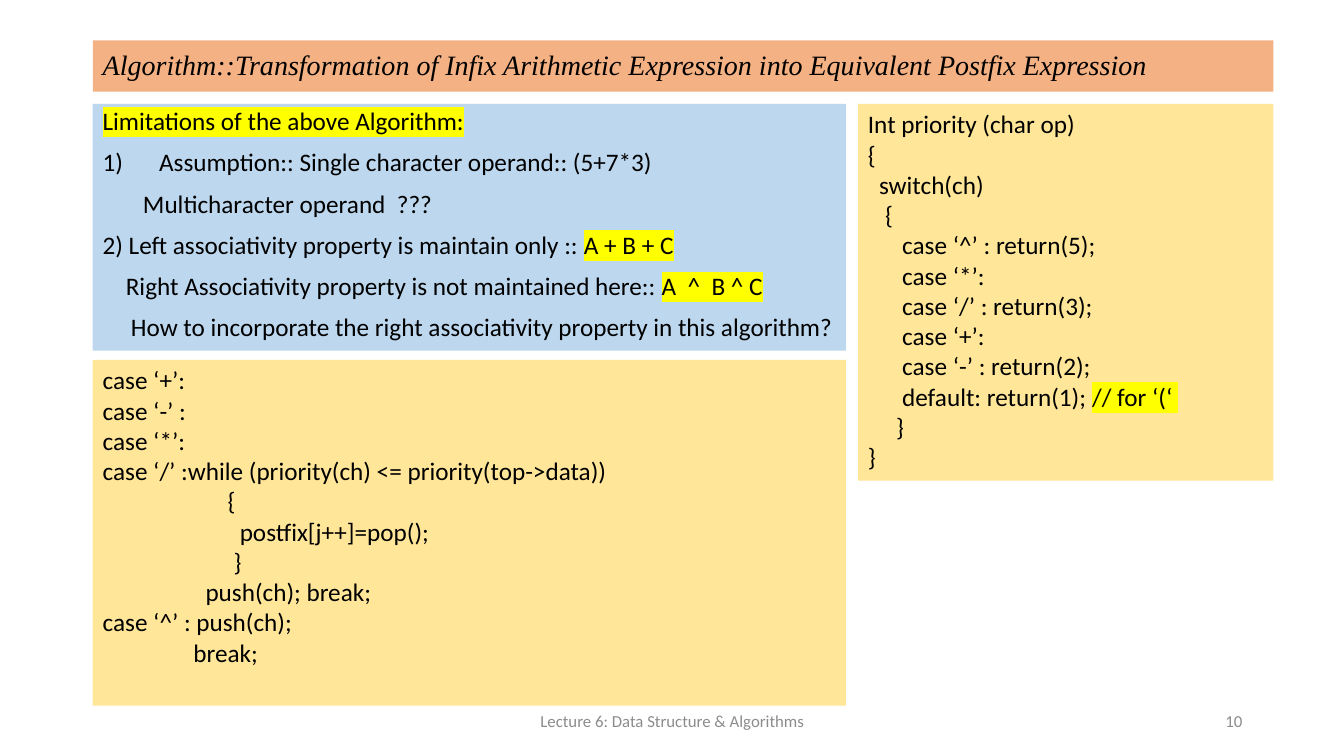
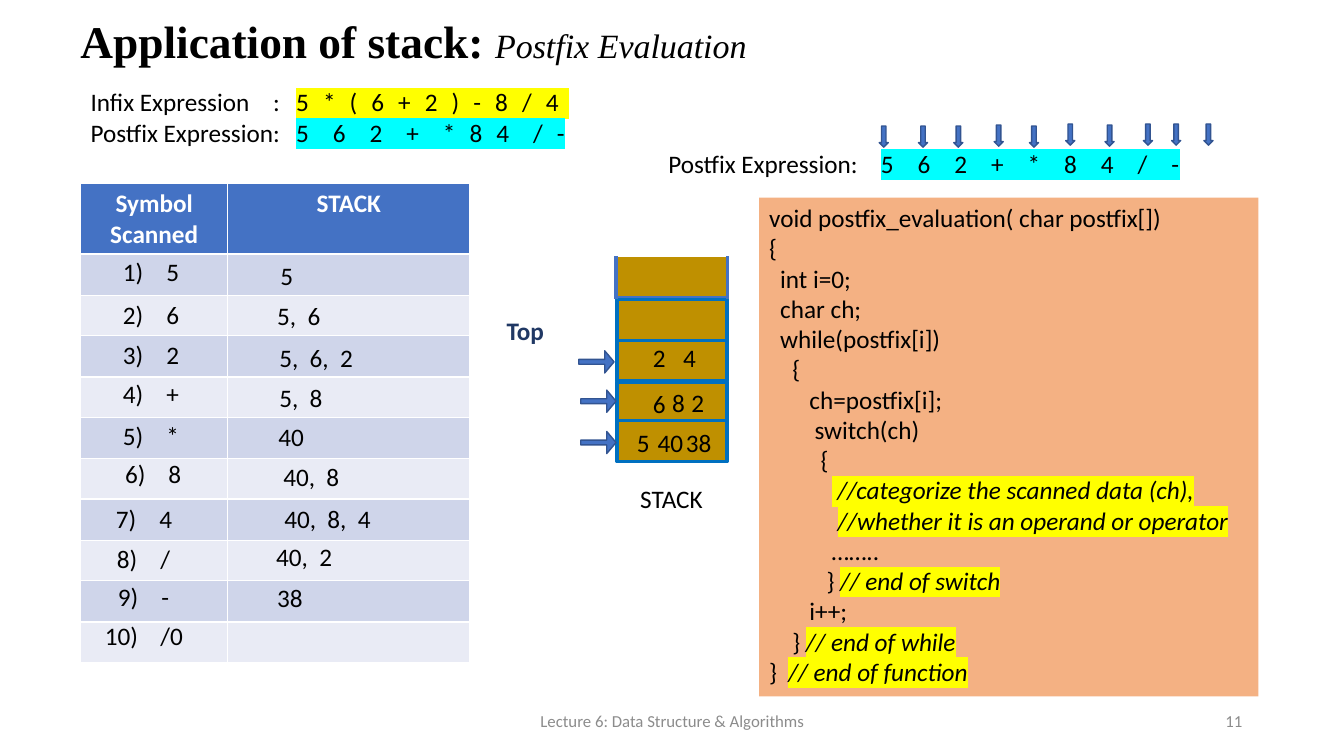
from lxml import etree
from pptx import Presentation
from pptx import util as u
from pptx.dml.color import RGBColor
from pptx.enum import shapes, text
from pptx.oxml.ns import qn

PX = 9144  # 100 px to the inch
BODY_FONT, TITLE_FONT = "Calibri", "Times New Roman"
BLACK, WHITE, GREY, NAVY = "000000", "FFFFFF", "8C8C8C", "203864"
ORANGE, SKY, CREAM, GOLD = "F4B183", "BDD7EE", "FFE699", "BF9000"
BLUE, BLUE_EDGE, STACK_EDGE = "4472C4", "325491", "0070C0"
BANDS = ("CFD5EA", "E9EBF5")
YELLOW, CYAN = "FFFF00", "00FFFF"
LEFT, CENTER, RIGHT = text.PP_ALIGN.LEFT, text.PP_ALIGN.CENTER, text.PP_ALIGN.RIGHT
TOP, MIDDLE = text.MSO_ANCHOR.TOP, text.MSO_ANCHOR.MIDDLE
SHAPE = shapes.MSO_SHAPE

# Each line is (indent, plain text, highlighted text).
LIMITATIONS = [
    (0, "", "Limitations of the above Algorithm:"),
    (56, "Assumption:: Single character operand:: (5+7*3)"),
    (40, "Multicharacter operand  ???"),
    (0, "2) Left associativity property is maintain only :: ", "A + B + C"),
    (23, "Right Associativity property is not maintained here:: ", "A  ^  B ^ C"),
    (28, "How to incorporate the right associativity property in this algorithm?"),
]
OPERATOR_CASES = [
    (0, "case ‘+’:"),
    (0, "case ‘-’ :"),
    (0, "case ‘*’:"),
    (0, "case ‘/’ :while (priority(ch) <= priority(top->data))"),
    (124, "{"),
    (136, "postfix[j++]=pop();"),
    (130, "}"),
    (102, "push(ch); break;"),
    (0, "case ‘^’ : push(ch);"),
    (90, "break;"),
]
PRIORITY_FUNCTION = [
    (0, "Int priority (char op)"),
    (0, "{"),
    (11, "switch(ch)"),
    (17, "{"),
    (34, "case ‘^’ : return(5);"),
    (34, "case ‘*’:"),
    (34, "case ‘/’ : return(3);"),
    (34, "case ‘+’:"),
    (34, "case ‘-’ : return(2);"),
    (34, "default: return(1); ", "// for ‘(‘ "),
    (28, "}"),
    (0, "}"),
]
EVALUATION_FUNCTION = [
    (0, "void postfix_evaluation( char postfix[])"),
    (0, "{"),
    (11, "int i=0;"),
    (11, "char ch;"),
    (11, "while(postfix[i])"),
    (23, "{"),
    (40, "ch=postfix[i];"),
    (45, "switch(ch)"),
    (51, "{"),
    (62, "", " //categorize the scanned data (ch),"),
    (68, "", "//whether it is an operand or operator"),
    (62, "…….."),
    (57, "} ", "// end of switch"),
    (40, "i++;"),
    (23, "} ", "// end of while"),
    (0, "}  ", "// end of function"),
]
# Each entry is (left, top, content).
SCANNED_SYMBOLS = [
    (118, 250, "5"), (118, 293, "6"), (118, 333, "2"), (118, 371, "+"), (118, 413, "*"),
    (120, 451, "8"), (111, 495, "4"), (112, 535, "/"), (113, 573, "-"), (100, 611, "/0"),
]
STACK_STATES = [
    (274, 254, "5"), (271, 294, "5,  6"), (273, 336, "5,  6,  2"),
    (273, 375, "5,  8"), (272, 414, "40"), (277, 454, "40,  8"),
    (278, 495, "40,  8,  4"), (270, 533, "40,  2"), (271, 574, "38"),
]
STACK_VALUES = [
    (636, 336, "2"), (636, 381, "6"), (620, 420, "5"), (666, 336, "4"),
    (655, 380, "8"), (674, 380, "2"), (647, 420, "40"), (675, 420, "38"),
]
SCAN_ARROWS = [(872, 125), (911, 125), (946, 125), (986, 124), (1021, 125),
               (1057, 123), (1096, 124), (1134, 123), (1162, 123), (1194, 123)]


def px(*lengths):
    return [u.Emu(length * PX) for length in lengths]


def rgb(color):
    return RGBColor.from_string(color)


def set_font(font, size=18, color=BLACK, name=BODY_FONT, bold=False, italic=False):
    font.size, font.name, font.bold, font.italic = u.Pt(size), name, bold, italic
    font.color.rgb = rgb(color)


def set_indent(paragraph, left, first=0):
    properties = paragraph._p.get_or_add_pPr()
    properties.set("marL", str(left * PX))
    properties.set("indent", str(first * PX))


def set_number(paragraph):
    """Number a paragraph; the font defaults have to stay last in its properties."""
    properties = paragraph._p.get_or_add_pPr()
    defaults = properties.find(qn("a:defRPr"))
    etree.SubElement(properties, qn("a:buFont"), typeface="+mj-lt")
    etree.SubElement(properties, qn("a:buAutoNum"), type="arabicParenR")
    properties.append(defaults)


def set_tabs(paragraph, stops):
    tabs = etree.SubElement(paragraph._p.get_or_add_pPr(), qn("a:tabLst"))
    for stop in stops:
        etree.SubElement(tabs, qn("a:tab"), pos=str(stop * PX), algn="l")


def add_run(paragraph, content, highlight=None):
    run = paragraph.add_run()
    run.text = content
    if highlight:
        mark = etree.SubElement(run._r.get_or_add_rPr(), qn("a:highlight"))
        etree.SubElement(mark, qn("a:srgbClr"), val=highlight)
    return run


def add_shape(slide, kind, box, fill, line=None, width=1):
    shape = slide.shapes.add_shape(kind, *px(*box))
    shape.shadow.inherit = False
    shape.fill.solid()
    shape.fill.fore_color.rgb = rgb(fill)
    if line:
        shape.line.color.rgb = rgb(line)
        shape.line.width = u.Pt(width)
    else:
        shape.line.fill.background()
    return shape


def add_text_box(slide, box, fill=None, anchor=TOP):
    """Add an empty text box, return its text frame."""
    shape = slide.shapes.add_textbox(*px(*box))
    if fill:
        shape.fill.solid()
        shape.fill.fore_color.rgb = rgb(fill)
    frame = shape.text_frame
    frame.word_wrap = True
    frame.vertical_anchor = anchor
    return frame


def add_label(slide, box, content, align=CENTER, anchor=TOP, **font):
    """Add one line of text, return its text frame."""
    frame = add_text_box(slide, box, anchor=anchor)
    paragraph = frame.paragraphs[0]
    paragraph.alignment = align
    set_font(paragraph.font, **font)
    add_run(paragraph, content)
    return frame


def add_value(slide, box, content, align=LEFT, hanging=0):
    """Add a label with narrow margins; a tab in it leads to the hanging indent."""
    frame = add_label(slide, box, content, align)
    frame.margin_left, frame.margin_top, frame.margin_right, frame.margin_bottom = px(4, 4, 4, 4)
    set_indent(frame.paragraphs[0], hanging, -hanging)


def add_title(slide, box, parts, fill=None):
    """Add a title from (text, size, bold, italic) parts."""
    paragraph = add_text_box(slide, box, fill, MIDDLE).paragraphs[0]
    paragraph.line_spacing = 0.9
    for content, size, bold, italic in parts:
        run = add_run(paragraph, content)
        set_font(run.font, size, BLACK, TITLE_FONT, bold, italic)


def add_footer(slide, number):
    add_label(slide, (442, 695, 450, 40), "Lecture 6: Data Structure & Algorithms",
              anchor=MIDDLE, size=12, color=GREY)
    add_label(slide, (942, 695, 300, 40), str(number), RIGHT, MIDDLE, size=12, color=GREY)


def add_panel(slide, box, fill, lines, italic_marks=False):
    """Add a filled box of indented lines, return its paragraphs."""
    frame = add_text_box(slide, box, fill)
    for index, (indent, plain, *marked) in enumerate(lines):
        paragraph = frame.add_paragraph() if index else frame.paragraphs[0]
        set_indent(paragraph, indent)
        set_font(paragraph.font)
        if plain:
            add_run(paragraph, plain)
        for content in marked:
            run = add_run(paragraph, content, YELLOW)
            if italic_marks:
                run.font.italic = True
    return frame.paragraphs


def add_expressions(slide, box, stops, rows):
    """Add rows of (label, expression, highlight), the expressions spaced out."""
    frame = add_text_box(slide, box)
    for index, (label, expression, highlight) in enumerate(rows):
        paragraph = frame.add_paragraph() if index else frame.paragraphs[0]
        set_font(paragraph.font)
        set_tabs(paragraph, stops)
        add_run(paragraph, label)
        run = add_run(paragraph, expression, highlight)
        run._r.get_or_add_rPr().set("spc", "300")


def add_scan_table(slide):
    heights = [70] + [41, 40] * 5
    box = (80, 182, 386, sum(heights))
    table = slide.shapes.add_table(len(heights), 2, *px(*box)).table
    for column, width in zip(table.columns, px(146, 240)):
        column.width = width
    for index, height in enumerate(px(*heights)):
        table.rows[index].height = height
        for cell in table.rows[index].cells:
            cell.fill.solid()
            cell.fill.fore_color.rgb = rgb(BANDS[(index - 1) % 2] if index else BLUE)
    for cell, heading in zip(table.rows[0].cells, ("Symbol Scanned", "STACK")):
        paragraph = cell.text_frame.paragraphs[0]
        paragraph.alignment = CENTER
        set_font(paragraph.font, color=WHITE, bold=True)
        add_run(paragraph, heading)
    for number, (left, top, symbol) in enumerate(SCANNED_SYMBOLS, 1):
        hanging = 55 if number == 10 else 43
        add_value(slide, (left, top, 96, 38), f"{number})\t{symbol}", hanging=hanging)
    for left, top, state in STACK_STATES:
        add_value(slide, (left, top, 147, 38), state)


def add_line(slide, ends, width):
    line = slide.shapes.add_connector(shapes.MSO_CONNECTOR.STRAIGHT, *px(*ends))
    line.line.color.rgb = rgb(BLUE)
    line.line.width = u.Pt(width)
    etree.SubElement(line._element.spPr, qn("a:effectLst"))


def add_stack(slide):
    for top in (379, 417, 337, 297):
        add_shape(slide, SHAPE.RECTANGLE, (612, top, 109, 41), GOLD, STACK_EDGE, 2.25)
    add_shape(slide, SHAPE.RECTANGLE, (612, 255, 109, 40), GOLD)
    for x in (611, 722):
        add_line(slide, (x, 254, x, 297), 2.25)
    add_line(slide, (611, 295, 722, 295), 1.5)
    for left, top in ((574, 348), (576, 387), (576, 428)):
        arrow = add_shape(slide, SHAPE.RIGHT_ARROW, (left, top, 35, 22), BLUE, BLUE_EDGE)
        arrow.adjustments[0], arrow.adjustments[1] = 0.22, 0.42
    for left, top, value in STACK_VALUES:
        add_value(slide, (left, top, 36, 38), value, CENTER)
    add_label(slide, (480, 308, 82, 40), "Top", color=NAVY, bold=True)
    add_label(slide, (611, 475, 110, 40), "STACK")


def build_transformation(slide):
    add_title(slide, (92, 40, 1171, 51), [(
        "Algorithm::Transformation of Infix Arithmetic Expression into Equivalent "
        "Postfix Expression", 20, False, True)], ORANGE)
    limitations = add_panel(slide, (92, 103, 747, 245), SKY, LIMITATIONS)
    for paragraph in limitations:
        paragraph.line_spacing = 0.9
        paragraph.space_before = u.Pt(10)
    set_indent(limitations[1], 56, -56)
    set_number(limitations[1])
    add_panel(slide, (92, 357, 747, 343), CREAM, OPERATOR_CASES)
    add_panel(slide, (851, 103, 412, 374), CREAM, PRIORITY_FUNCTION)
    add_footer(slide, 10)


def build_evaluation(slide):
    add_title(slide, (70, 15, 1150, 56), [("Application of stack: ", 32.4, True, False),
                                          ("Postfix Evaluation", 24.3, False, True)])
    add_expressions(slide, (80, 81, 726, 101), (181, 204), [
        ("Infix Expression\t:\t", "5 * ( 6 + 2 ) - 8 / 4 ", YELLOW),
        ("Postfix Expression:\t", "5  6  2  +  * 8 4  / -", CYAN)])
    add_expressions(slide, (653, 142, 546, 40), (211,), [
        ("Postfix Expression:\t", "5  6  2  +  *  8  4  /  -", CYAN)])
    add_scan_table(slide)
    for left, top in SCAN_ARROWS:
        add_shape(slide, SHAPE.DOWN_ARROW, (left, top, 9, 21), BLUE, BLUE_EDGE)
    add_stack(slide)
    add_panel(slide, (753, 196, 495, 495), ORANGE, EVALUATION_FUNCTION, True)
    add_footer(slide, 11)


def main():
    presentation = Presentation()
    presentation.slide_width, presentation.slide_height = px(1333, 750)
    for build in (build_transformation, build_evaluation):
        build(presentation.slides.add_slide(presentation.slide_layouts[6]))
    presentation.save("out.pptx")


if __name__ == "__main__":
    main()
